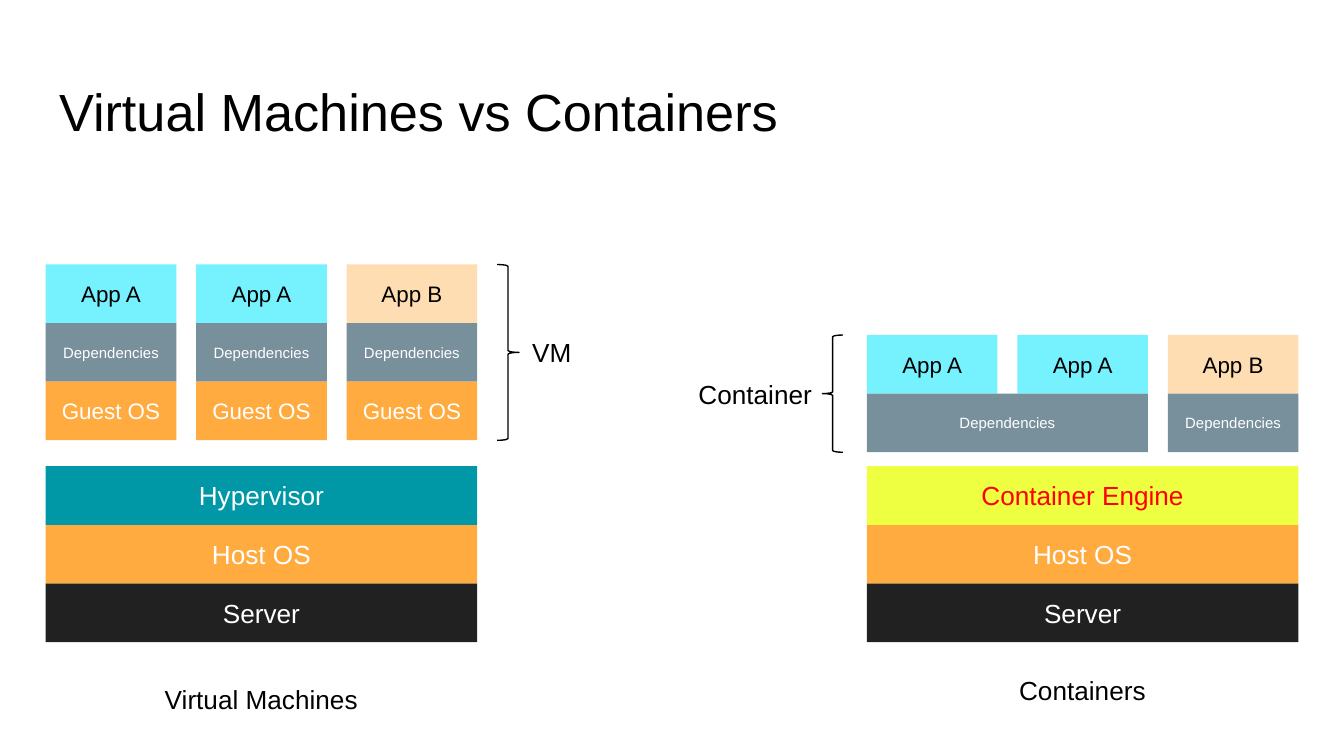
import pptx
from pptx.dml.color import RGBColor
from pptx.enum.shapes import MSO_SHAPE
from pptx.enum.text import MSO_ANCHOR, MSO_AUTO_SIZE, PP_ALIGN
from pptx.util import Pt

COLORS = {
    "black": "000000", "white": "FFFFFF", "red": "FF0000",
    "server": "212121", "os": "FFAB40", "hypervisor": "0097A7",
    "engine": "EEFF41", "dependencies": "78909C",
    "app_a": "76F2FF", "app_b": "FFDDB3",
}
ROW = 31.4
GAP = 10.6
APPS = [("App A", "app_a"), ("App A", "app_a"), ("App B", "app_b")]


def rgb(name):
    return RGBColor.from_string(COLORS[name])


def write(sp, text, size, color, align, **frame):
    tf = sp.text_frame
    for name, value in frame.items():
        setattr(tf, name, value)
    p = tf.paragraphs[0]
    p.alignment = align
    r = p.add_run()
    r.text = text
    for name, value in {"name": "Arial", "size": Pt(size)}.items():
        setattr(r.font, name, value)
    r.font.color.rgb = rgb(color)


def add_title(s, box, text):
    sp = s.shapes.title
    sp.left, sp.top, sp.width, sp.height = map(Pt, box)
    inset = Pt(7.2)
    write(sp, text, 28, "black", PP_ALIGN.LEFT, word_wrap=True,
          auto_size=MSO_AUTO_SIZE.NONE, vertical_anchor=MSO_ANCHOR.TOP,
          margin_left=inset, margin_right=inset,
          margin_top=inset, margin_bottom=inset)


def add_block(s, box, text, size, fill, color="white"):
    sp = s.shapes.add_shape(MSO_SHAPE.RECTANGLE, *map(Pt, box))
    sp.shadow.inherit = False
    sp.fill.solid()
    sp.fill.fore_color.rgb = rgb(fill)
    sp.line.fill.background()
    write(sp, text, size, color, PP_ALIGN.CENTER, word_wrap=True,
          vertical_anchor=MSO_ANCHOR.MIDDLE)


def add_label(s, box, text, align=PP_ALIGN.LEFT):
    sp = s.shapes.add_textbox(*map(Pt, box))
    write(sp, text, 14, "black", align, word_wrap=False,
          auto_size=MSO_AUTO_SIZE.SHAPE_TO_FIT_TEXT)


def add_brace(s, kind, box):
    sp = s.shapes.add_shape(kind, *map(Pt, box))
    sp.shadow.inherit = False
    sp.fill.background()
    sp.line.color.rgb = rgb("black")
    sp.line.width = Pt(0.75)


def add_stack(s, box, base, tiers):
    """Full-width base rows rest on the bottom of the box; tiers hang from its top.

    A tier is (size, color, cells), a cell (text, fill, columns spanned).
    """
    left, top, width, height = box
    col = (width - 2 * GAP) / 3
    for i, (text, fill, color) in enumerate(base):
        y = top + height - (i + 1) * ROW
        add_block(s, (left, y, width, ROW), text, 14, fill, color)
    for i, (size, color, cells) in enumerate(tiers):
        x = left
        for text, fill, span in cells:
            w = span * (col + GAP) - GAP
            add_block(s, (x, top + i * ROW, w, ROW), text, size, fill, color)
            x += w + GAP


def add_virtual_machines(s, box):
    left, top, width, height = box
    base = [("Server", "server", "white"), ("Host OS", "os", "white"),
            ("Hypervisor", "hypervisor", "white")]
    tiers = [
        (12, "black", [(text, fill, 1) for text, fill in APPS]),
        (8, "white", [("Dependencies", "dependencies", 1)] * 3),
        (12, "white", [("Guest OS", "os", 1)] * 3),
    ]
    add_stack(s, box, base, tiers)
    right = left + width
    add_brace(s, MSO_SHAPE.RIGHT_BRACE, (right + GAP, top, 11.8, 3 * ROW))
    add_label(s, (right + 22.3, top + 34.8, 36, 24.3), "VM")
    add_label(s, (left + 56.1, top + height + 18.3, 118.8, 24.3),
              "Virtual Machines", PP_ALIGN.CENTER)


def add_containers(s, box):
    left, top, width, height = box
    base = [("Server", "server", "white"), ("Host OS", "os", "white"),
            ("Container Engine", "engine", "red")]
    tiers = [
        (12, "black", [(text, fill, 1) for text, fill in APPS]),
        (8, "white", [("Dependencies", "dependencies", span) for span in (2, 1)]),
    ]
    add_stack(s, box, base, tiers)
    add_brace(s, MSO_SHAPE.LEFT_BRACE, (left - 23.8, top, 11, 2 * ROW))
    add_label(s, (left - 97.3, top + 19.5, 75.6, 24.3), "Container")
    add_label(s, (left + 74.1, top + height + 14, 82.8, 24.3),
              "Containers", PP_ALIGN.CENTER)


def main():
    prs = pptx.Presentation()
    prs.slide_width, prs.slide_height = Pt(720), Pt(405)
    s = prs.slides.add_slide(prs.slide_layouts[5])
    add_title(s, (24.5, 35, 671, 45.1), "Virtual Machines vs Containers")
    add_virtual_machines(s, (24.5, 141.7, 231.2, 202.3))
    add_containers(s, (464.4, 179.5, 231.2, 164.5))
    prs.save("out.pptx")


if __name__ == "__main__":
    main()
